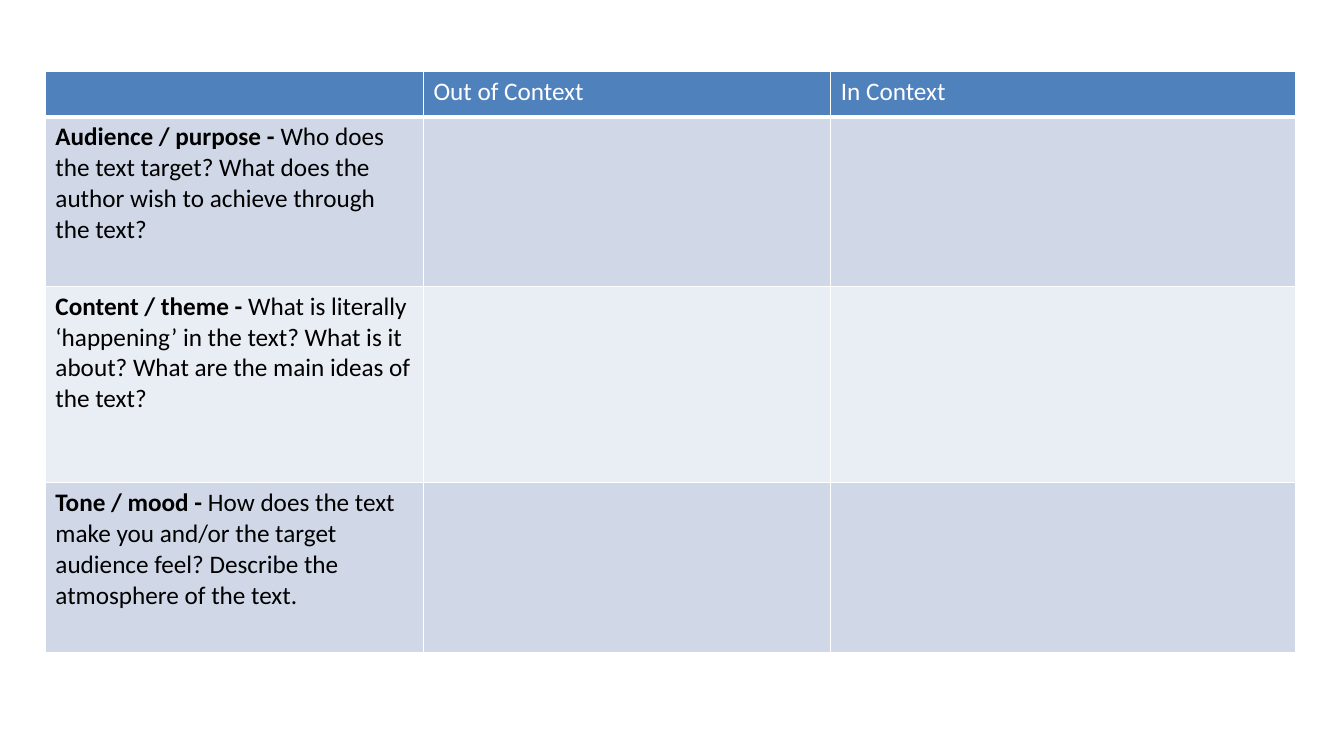
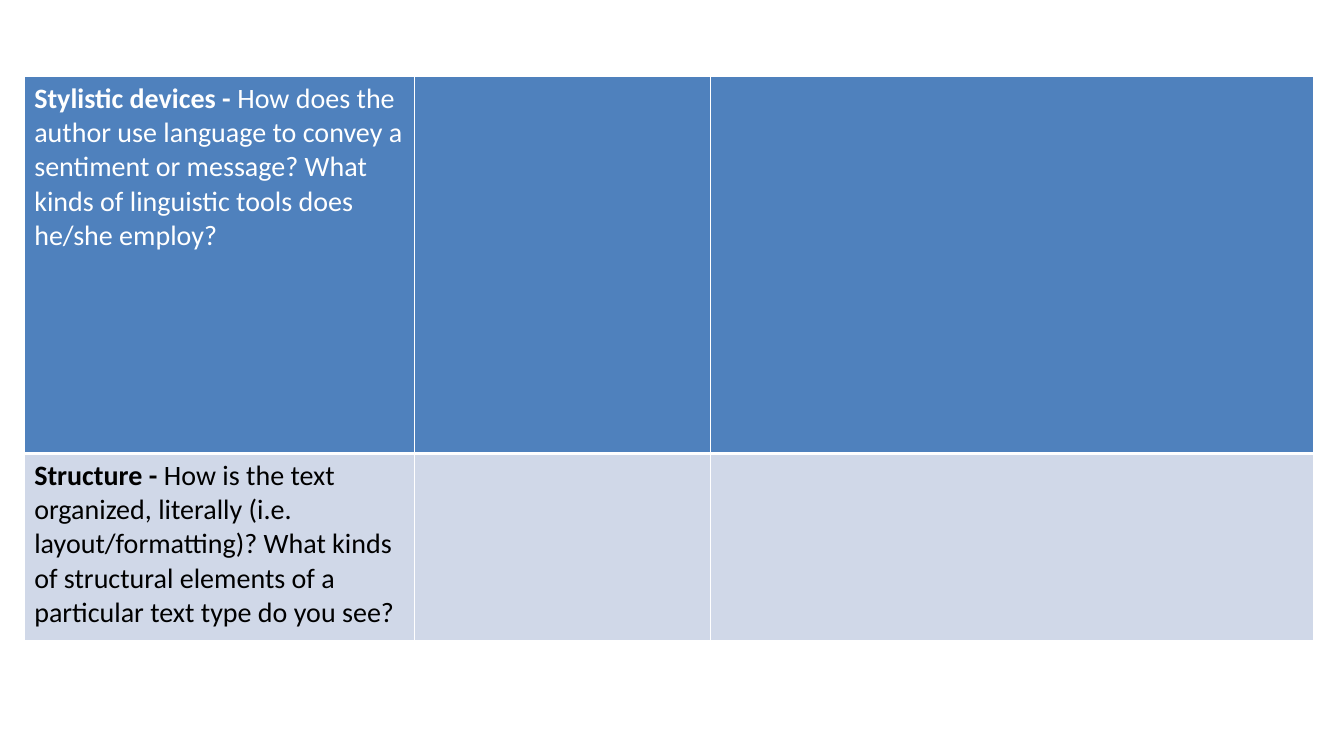
from dataclasses import dataclass

from lxml.etree import SubElement
from pptx import Presentation
from pptx.dml.color import RGBColor as RGB
from pptx.oxml.ns import qn
from pptx.util import Inches, Pt


@dataclass(frozen=True)
class Theme:
    font: str = "Calibri"
    header: str = "4F81BD"
    bands: tuple[str, str] = ("D0D8E8", "E9EDF4")
    light: str = "FFFFFF"
    dark: str = "000000"
    thin: float = 1
    thick: float = 3


@dataclass(frozen=True)
class CellText:
    label: str = ""
    question: str = ""


@dataclass(frozen=True)
class Grid:
    left: float
    top: float
    cols: tuple[float, ...]
    rows: tuple[float, ...]
    size: float
    texts: tuple[tuple[CellText, ...], ...]


THEME = Theme()

GRIDS = (
    Grid(0.45, 0.71, (3.75, 4.04, 4.61), (0.45, 1.68, 1.95, 1.68), 18, (
        (CellText(), CellText(question="Out of Context"), CellText(question="In Context")),
        (CellText("Audience / purpose - ",
                  "Who does the text target? What does the author wish to achieve "
                  "through the text?"),),
        (CellText("Content / theme -",
                  " What is literally ‘happening’ in the text? What is it about? "
                  "What are the main ideas of the text?"),),
        (CellText("Tone / mood -",
                  " How does the text make you and/or the target audience feel? "
                  "Describe the atmosphere of the text."),),
    )),
    Grid(0.24, 0.76, (3.87, 2.94, 5.98), (3.74, 1.86), 20, (
        (CellText("Stylistic devices - ",
                  "How does the author use language to convey a sentiment or message? "
                  "What kinds of linguistic tools does he/she employ?"),),
        (CellText("Structure -",
                  " How is the text organized, literally (i.e. layout/formatting)? "
                  "What kinds of structural elements of a particular text type do you see?"),),
    )),
)


def add_run(p, text: str, *, size: float, color: str, bold: bool = False) -> None:
    r = p.add_run()
    r.text = text
    r.font.name = THEME.font
    r.font.size = Pt(size)
    r.font.bold = bold
    r.font.color.rgb = RGB.from_string(color)


def set_borders(cell, bottom: float) -> None:
    tc_pr = cell._tc.get_or_add_tcPr()
    widths = {"a:lnL": THEME.thin, "a:lnR": THEME.thin, "a:lnT": THEME.thin, "a:lnB": bottom}
    for i, (tag, width) in enumerate(widths.items()):
        ln = SubElement(tc_pr, qn(tag), w=str(Pt(width)))
        SubElement(SubElement(ln, qn("a:solidFill")), qn("a:srgbClr"), val=THEME.light)
        tc_pr.insert(i, ln)


def format_cell(cell, row: int) -> None:
    fill = THEME.bands[(row - 1) % 2] if row else THEME.header
    cell.fill.solid()
    cell.fill.fore_color.rgb = RGB.from_string(fill)
    set_borders(cell, THEME.thin if row else THEME.thick)


def add_grid(s, grid: Grid) -> None:
    table = s.shapes.add_table(
        len(grid.rows), len(grid.cols), Inches(grid.left), Inches(grid.top),
        Inches(sum(grid.cols)), Inches(sum(grid.rows))).table
    table.first_row = table.horz_banding = False
    for column, width in zip(table.columns, grid.cols):
        column.width = Inches(width)
    for i, (row, height, texts) in enumerate(zip(table.rows, grid.rows, grid.texts)):
        row.height = Inches(height)
        for cell in row.cells:
            format_cell(cell, i)
        color = THEME.dark if i else THEME.light
        for cell, text in zip(row.cells, texts):
            p = cell.text_frame.paragraphs[0]
            if text.label:
                add_run(p, text.label, size=grid.size, color=color, bold=True)
            if text.question:
                add_run(p, text.question, size=grid.size, color=color)


def main() -> None:
    prs = Presentation()
    prs.slide_width, prs.slide_height = Inches(13.33), Inches(7.5)
    for grid in GRIDS:
        add_grid(prs.slides.add_slide(prs.slide_layouts[6]), grid)
    prs.save("out.pptx")


if __name__ == "__main__":
    main()
